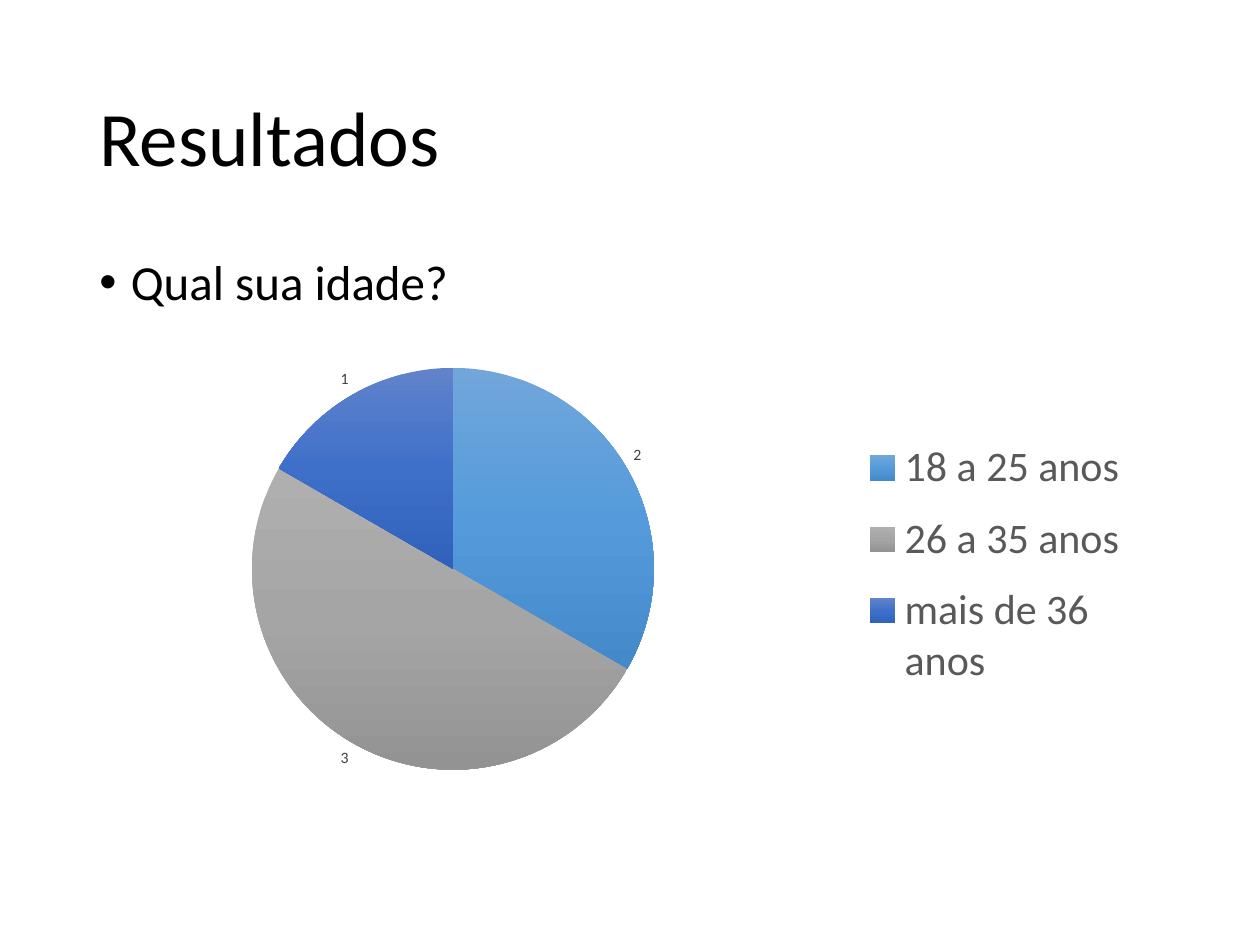
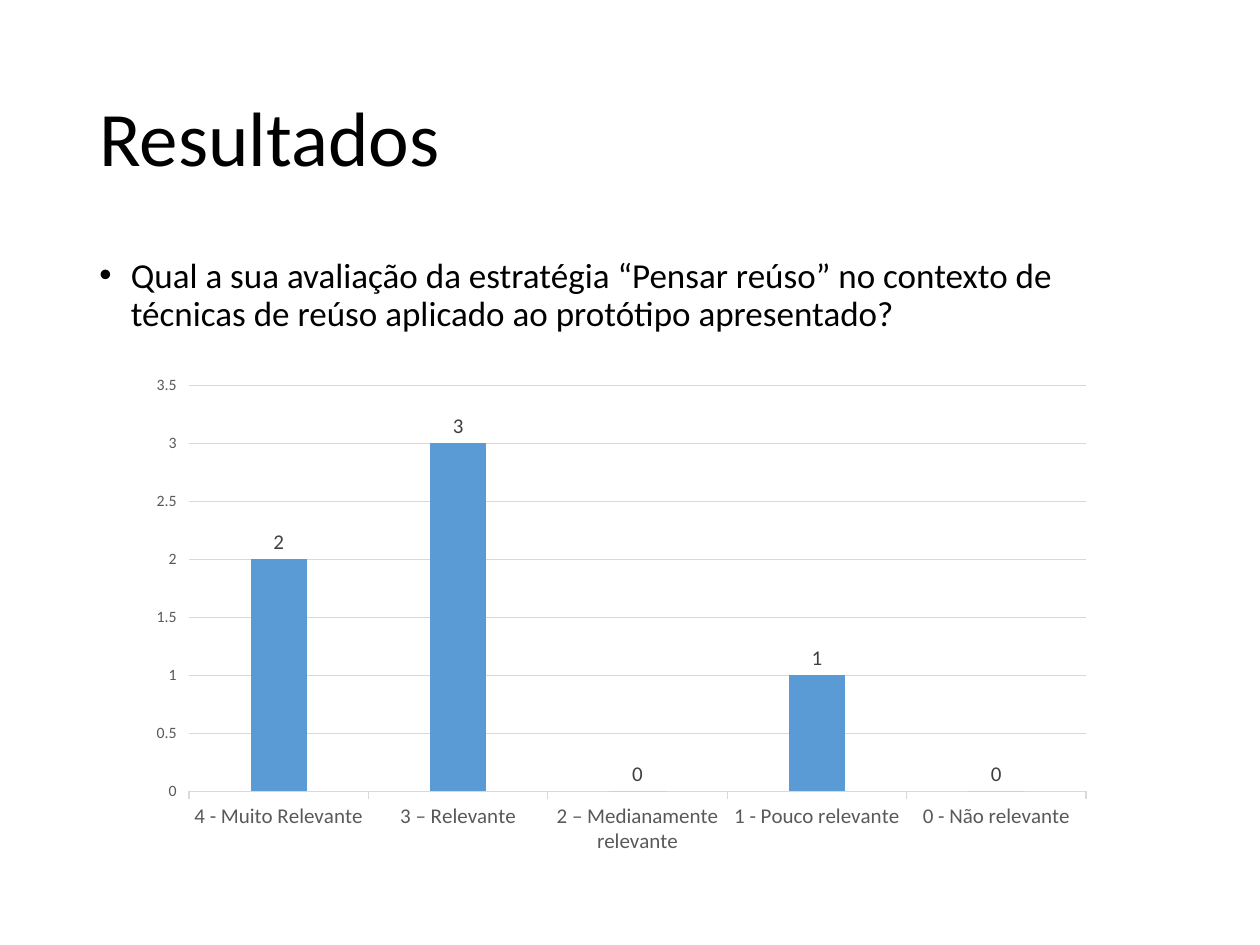
from dataclasses import dataclass
import copy

import lxml.etree
import pptx
import pptx.chart.data
import pptx.dml.color
import pptx.enum.chart
import pptx.enum.text
import pptx.oxml.ns
import pptx.util

RGB = pptx.dml.color.RGBColor
BLACK = RGB(0x00, 0x00, 0x00)
GREY = RGB(0x59, 0x59, 0x59)
DARK = RGB(0x40, 0x40, 0x40)
RULE = RGB(0xD9, 0xD9, 0xD9)
BLUE = RGB(0x5B, 0x9B, 0xD5)
SHADES = (
    (RGB(0x71, 0xA6, 0xDB), RGB(0x55, 0x9B, 0xDB), RGB(0x44, 0x8A, 0xCA)),
    (RGB(0xAF, 0xAF, 0xAF), RGB(0xA5, 0xA5, 0xA5), RGB(0x93, 0x93, 0x93)),
    (RGB(0x61, 0x83, 0xCB), RGB(0x3E, 0x70, 0xCA), RGB(0x30, 0x62, 0xBB)),
)
FACE = "Calibri"
SCALE = 9144  # EMU per px, 100 px to the inch

Type = pptx.enum.chart.XL_CHART_TYPE
Tick = pptx.enum.chart.XL_TICK_MARK
qn = pptx.oxml.ns.qn


@dataclass(frozen=True)
class Box:
    left: int
    top: int
    width: int
    height: int

    def emu(self) -> list[int]:
        return [n * SCALE for n in (self.left, self.top, self.width, self.height)]


@dataclass(frozen=True)
class Page:
    query: str
    size: int
    kind: Type
    area: Box
    plot: Box
    names: tuple[str, ...]
    votes: tuple[int, ...]


TITLE = Box(69, 40, 862, 145)
BODY = Box(69, 200, 862, 476)
LEGEND = Box(675, 335, 229, 227)
PAGES = (
    Page("Qual sua idade?", 28, Type.PIE,
         Box(17, 269, 914, 366), Box(200, 292, 319, 319),
         ("18 a 25 anos", "26 a 35 anos", "mais de 36 anos"), (2, 3, 1)),
    Page("Qual a sua avaliação da estratégia “Pensar reúso” no contexto de "
         "técnicas de reúso aplicado ao protótipo apresentado?", 20,
         Type.COLUMN_CLUSTERED,
         Box(109, 292, 769, 394), Box(150, 306, 712, 322),
         ("4 - Muito Relevante", "3 – Relevante", "2 – Medianamente relevante",
          "1 - Pouco relevante", "0 - Não relevante"), (2, 3, 0, 1, 0)),
)


def style(font, size: int, color: RGB) -> None:
    font.name = FACE
    font.size = pptx.util.Pt(size)
    font.color.rgb = color


def write(slide, box: Box, text: str, size: int, bullet: bool = False) -> None:
    frame = slide.shapes.add_textbox(*box.emu()).text_frame
    frame.word_wrap = True
    anchor = pptx.enum.text.MSO_ANCHOR
    frame.vertical_anchor = anchor.TOP if bullet else anchor.MIDDLE
    para = frame.paragraphs[0]
    para.text = text
    para.line_spacing = 0.9
    if bullet:
        props = para._p.get_or_add_pPr()
        props.set("marL", str(25 * SCALE))
        props.set("indent", str(-25 * SCALE))
        lxml.etree.SubElement(props, qn("a:buFont"), typeface="Arial")
        lxml.etree.SubElement(props, qn("a:buChar"), char="•")
    style(para.font, size, BLACK)


def layout(box: Box, area: Box, inner: bool = False):
    """Return a chart layout that puts box, in slide px, within area."""
    root = lxml.etree.Element(qn("c:layout"))
    manual = lxml.etree.SubElement(root, qn("c:manualLayout"))
    parts = {"layoutTarget": "inner"} if inner else {}
    parts |= {
        "xMode": "edge",
        "yMode": "edge",
        "x": (box.left - area.left) / area.width,
        "y": (box.top - area.top) / area.height,
        "w": box.width / area.width,
        "h": box.height / area.height,
    }
    for tag, val in parts.items():
        lxml.etree.SubElement(manual, qn(f"c:{tag}"), val=str(val))
    return root


def clear(node) -> None:
    """Drop any layout that node already has."""
    for old in node.findall(qn("c:layout")):
        node.remove(old)


def label(plot, size: int) -> None:
    plot.has_data_labels = True
    labels = plot.data_labels
    labels.show_value = True
    labels.position = pptx.enum.chart.XL_LABEL_POSITION.OUTSIDE_END
    style(labels.font, size, DARK)


def shade(fill, root, colors: tuple[RGB, ...]) -> None:
    """Fill from top to bottom with evenly spaced colors."""
    fill.gradient()
    fill.gradient_angle = 270
    stops = list(root.iter(qn("a:gsLst")))[-1]
    stops.append(copy.deepcopy(stops[-1]))
    for i, (stop, color) in enumerate(zip(fill.gradient_stops, colors)):
        stop.position = i / (len(colors) - 1)
        stop.color.rgb = color


def dress_pie(chart, area: Box) -> None:
    plot = chart.plots[0]
    plot.vary_by_categories = True
    label(plot, 9)
    ages = plot.series[0]
    for i, colors in enumerate(SHADES):
        form = ages.points[i].format
        shade(form.fill, ages._element, colors)
        form.line.fill.background()
    chart.has_legend = True
    legend = chart.legend
    legend.position = pptx.enum.chart.XL_LEGEND_POSITION.RIGHT
    legend.include_in_layout = False
    style(legend.font, 24, GREY)
    node = legend._element
    clear(node)
    node.find(qn("c:legendPos")).addnext(layout(LEGEND, area))


def rule(line) -> None:
    line.color.rgb = RULE
    line.width = pptx.util.Pt(0.75)


def dress_bars(chart) -> None:
    plot = chart.plots[0]
    plot.vary_by_categories = False
    plot.gap_width = 219
    plot.overlap = -27
    label(plot, 12)
    bars = plot.series[0]
    bars.invert_if_negative = False
    bars.format.fill.solid()
    bars.format.fill.fore_color.rgb = BLUE
    for axis, size in ((chart.category_axis, 12), (chart.value_axis, 9)):
        axis.major_tick_mark = Tick.OUTSIDE
        axis.minor_tick_mark = Tick.NONE
        style(axis.tick_labels.font, size, GREY)
    rule(chart.category_axis.format.line)
    scale = chart.value_axis
    scale.minimum_scale, scale.maximum_scale, scale.major_unit = 0, 3.5, 0.5
    scale.format.line.fill.background()
    scale.has_major_gridlines = True
    rule(scale.major_gridlines.format.line)


def draw(slide, page: Page) -> None:
    write(slide, TITLE, "Resultados", 44)
    write(slide, BODY, page.query, page.size, bullet=True)
    data = pptx.chart.data.CategoryChartData()
    data.categories = page.names
    data.add_series("Series 1", page.votes)
    chart = slide.shapes.add_chart(page.kind, *page.area.emu(), data).chart
    chart.has_title = False
    chart.has_legend = False
    style(chart.font, 10, BLACK)
    if page.kind == Type.PIE:
        dress_pie(chart, page.area)
    else:
        dress_bars(chart)
    node = chart._chartSpace.find(".//" + qn("c:plotArea"))
    clear(node)
    node.insert(0, layout(page.plot, page.area, inner=True))


def main() -> None:
    deck = pptx.Presentation()
    deck.slide_width, deck.slide_height = 1000 * SCALE, 750 * SCALE
    for page in PAGES:
        draw(deck.slides.add_slide(deck.slide_layouts[6]), page)
    deck.save("out.pptx")


if __name__ == "__main__":
    main()
